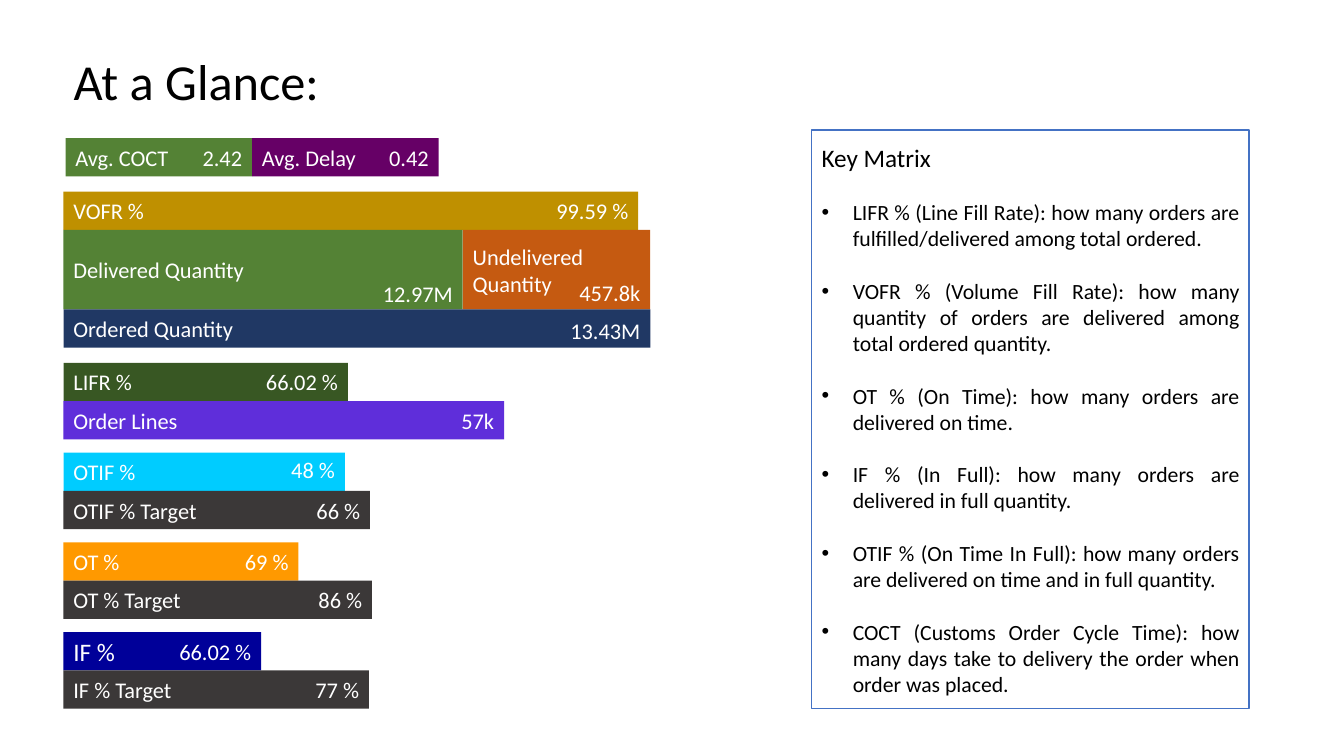
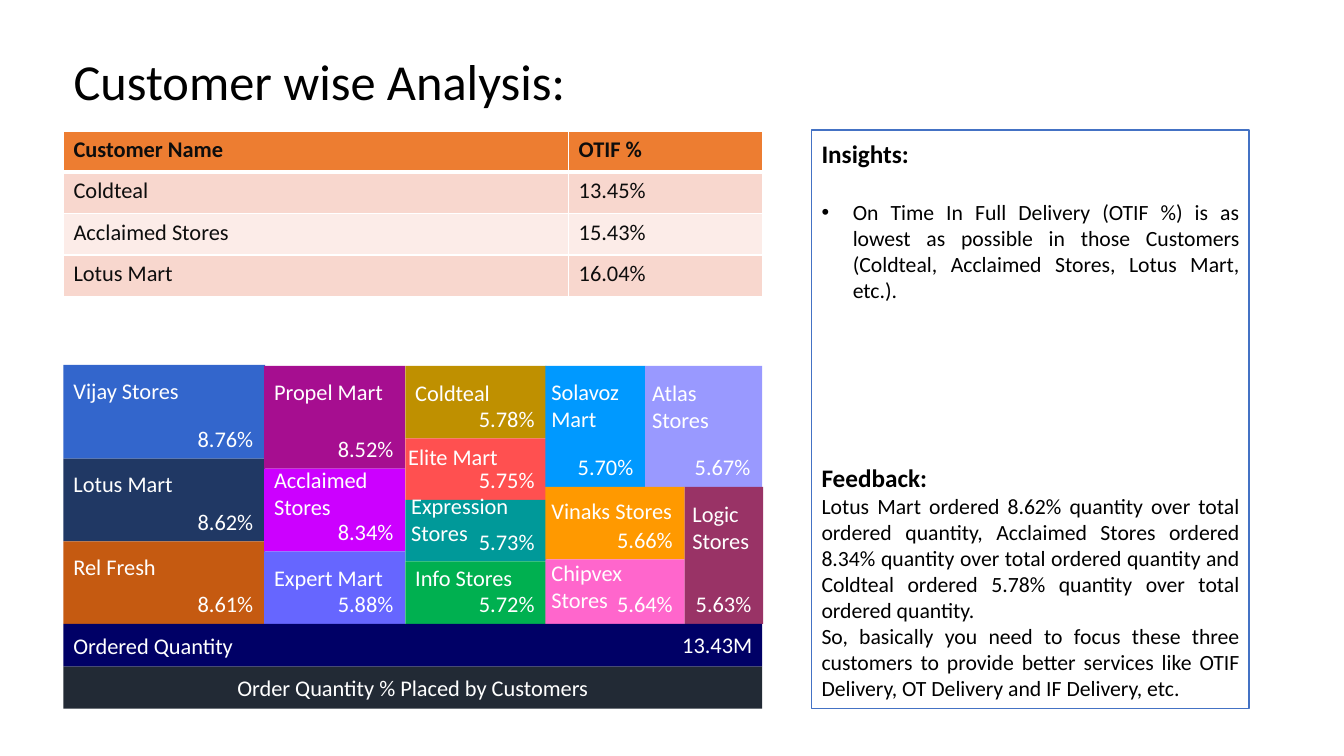
from lxml import etree
from pptx import Presentation
from pptx.dml.color import RGBColor
from pptx.enum.shapes import MSO_SHAPE as Shape
from pptx.enum.text import MSO_ANCHOR as Anchor, MSO_AUTO_SIZE as AutoSize, PP_ALIGN as Align
from pptx.oxml.ns import qn
from pptx.util import Inches, Pt

FONT = "Calibri"
WHITE, BLACK, INK = "FFFFFF", "000000", "0D0D0D"
GREEN, GOLD, NAVY, RUST = "548235", "BF9000", "203864", "C55A11"
TARGET = "3B3838"
LEFT = 0.63
BAR = 0.38
SMALL, BODY, HEADING, TITLE = 16, 15.5, 18, 36


def color(code):
    return RGBColor.from_string(code)


def area(left, top, width, height):
    return [Inches(value) for value in (left, top, width, height)]


def write(para, text, size=SMALL, ink=WHITE, bold=False, align=Align.LEFT, before=0, bullet=False):
    para.alignment = align
    para.space_before = Pt(before)
    span = para.add_run()
    span.text = text
    span.font.name = FONT
    span.font.size = Pt(size)
    span.font.bold = bold
    span.font.color.rgb = color(ink)
    if bullet:
        props = para._p.get_or_add_pPr()
        props.set("marL", str(Inches(0.31)))
        props.set("indent", str(-Inches(0.31)))
        etree.SubElement(props, qn("a:buFont"), typeface="Arial")
        etree.SubElement(props, qn("a:buChar"), char="•")


def border(cell, side, width):
    """Draw one white edge; call before the cell's fill is set."""
    line = etree.SubElement(cell._tc.get_or_add_tcPr(), qn(f"a:ln{side}"), w=str(Pt(width)))
    solid = etree.SubElement(line, qn("a:solidFill"))
    etree.SubElement(solid, qn("a:srgbClr"), val=WHITE)


class Report:
    """Holds the deck, its shared style and the current slide."""

    def __init__(self):
        self.deck = Presentation()
        self.deck.slide_width = Inches(13.33)
        self.deck.slide_height = Inches(7.5)

    def page(self, title):
        self.slide = self.deck.slides.add_slide(self.deck.slide_layouts[5])
        box = self.slide.shapes.title
        box.left, box.top, box.width, box.height = area(LEFT, 0.46, 10.23, 0.68)
        frame = box.text_frame
        frame.auto_size = AutoSize.NONE
        frame.vertical_anchor = Anchor.MIDDLE
        write(frame.paragraphs[0], title, size=TITLE, ink=BLACK)

    def block(self, left, top, width, height, fill, text="", line=None, **style):
        box = self.slide.shapes.add_shape(Shape.RECTANGLE, *area(left, top, width, height))
        box.shadow.inherit = False
        box.fill.solid()
        box.fill.fore_color.rgb = color(fill)
        if line:
            box.line.color.rgb = color(line)
            box.line.width = Pt(1)
        else:
            box.line.fill.background()
        box.text_frame.word_wrap = True
        box.text_frame.vertical_anchor = Anchor.MIDDLE
        if text:
            write(box.text_frame.paragraphs[0], text, **style)
        return box

    def label(self, left, top, width, height, text, **style):
        frame = self.slide.shapes.add_textbox(*area(left, top, width, height)).text_frame
        frame.word_wrap = True
        frame.vertical_anchor = Anchor.MIDDLE
        write(frame.paragraphs[0], text, **style)

    def value(self, right, bottom, text):
        self.label(right - 1.1, bottom - BAR, 1.1, BAR, text, align=Align.RIGHT)

    def bar(self, top, width, fill, text, value, left=LEFT, height=BAR, shift=0, size=SMALL):
        self.block(left, top, width, height, fill, text, size=size)
        self.value(left + width, top + height + shift, value)

    def tile(self, left, top, width, height, fill, name, value, indent, middle):
        """Draw a treemap tile; indent and middle place the name in it."""
        self.block(left, top, width, height, fill)
        self.label(left + indent, top + middle - 0.32, width - indent, 0.64, name)
        self.value(left + width - 0.02, top + height - 0.01, value)

    def panel(self, entries):
        frame = self.block(8.05, 1.29, 4.34, 5.74, WHITE, line="4472C4").text_frame
        for index, (text, style) in enumerate(entries):
            para = frame.add_paragraph() if index else frame.paragraphs[0]
            write(para, text, ink=BLACK, **style)

    def table(self, rows, widths, row_height, left, top):
        frame = self.slide.shapes.add_table(
            len(rows), len(widths), *area(left, top, sum(widths), row_height * len(rows)))
        grid = frame.table
        for column, width in zip(grid.columns, widths):
            column.width = Inches(width)
        for row, texts in enumerate(rows):
            fill = "ED7D31" if row == 0 else ("FCECE8", "F8D7CE")[row % 2]
            for column, text in enumerate(texts):
                cell = grid.cell(row, column)
                for side in "LRTB":
                    edge = (row, side) in ((0, "B"), (1, "T"))
                    border(cell, side, 3 if edge else 1)
                cell.fill.solid()
                cell.fill.fore_color.rgb = color(fill)
                write(cell.text_frame.paragraphs[0], text, ink=INK, bold=row == 0)


HEAD = dict(size=HEADING)
BOLD_HEAD = dict(size=HEADING, bold=True)
PLAIN = dict(size=BODY, align=Align.JUSTIFY)
POINT = dict(PLAIN, bullet=True, before=19)

DEFINITIONS = [
    "LIFR % (Line Fill Rate): how many orders are fulfilled/delivered among total ordered.",
    "VOFR % (Volume Fill Rate): how many quantity of orders are delivered among total "
    "ordered quantity.",
    "OT % (On Time): how many orders are delivered on time.",
    "IF % (In Full): how many orders are delivered in full quantity.",
    "OTIF % (On Time In Full): how many orders are delivered on time and in full quantity.",
    "COCT (Customs Order Cycle Time): how many days take to delivery the order when order "
    "was placed.",
]

# Each pair: upper and lower bar as width, fill, text, value, options
BAR_PAIRS = [
    ((2.82, "385723", "LIFR %", "66.02 %", {}), (4.37, "5F2EDA", "Order Lines", "57k", {})),
    ((2.79, "00CCFF", "OTIF %", "48 %", dict(shift=-0.02)),
     (3.04, TARGET, "OTIF % Target", "66 %", {})),
    ((2.33, "FF9900", "OT %", "69 %", {}), (3.06, TARGET, "OT % Target", "86 %", {})),
    ((1.96, "000099", "IF %", "66.02 %", dict(size=HEADING)),
     (3.03, TARGET, "IF % Target", "77 %", {})),
]

# Each stack: left, top, width, then tiles as height, fill, name, value, indent, middle
TILE_STACKS = [
    (LEFT, 3.62, 2, [
        (0.93, "3366CC", "Vijay Stores", "8.76%", 0, 0.25),
        (0.82, NAVY, "Lotus Mart", "8.62%", 0, 0.25),
        (0.82, RUST, "Rel Fresh", "8.61%", 0, 0.25)]),
    (2.62, 3.63, 1.4, [
        (1.02, "A60E90", "Propel Mart", "8.52%", 0, 0.25),
        (0.82, "CC00FF", "Acclaimed Stores", "8.34%", 0, 0.24),
        (0.72, "6666FF", "Expert Mart", "5.88%", 0, 0.26)]),
    (4.02, 3.63, 1.4, [
        (0.72, GOLD, "Coldteal", "5.78%", 0, 0.26),
        (0.61, "FF5050", "Elite Mart", "5.75%", -0.07, 0.18),
        (0.61, "009999", "Expression Stores", "5.73%", -0.04, 0.19),
        (0.62, "00B050", "Info Stores", "5.72%", 0, 0.16)]),
    (5.41, 3.63, 0.99, [(1.2, "0099FF", "Solavoz Mart", "5.70%", -0.04, 0.39)]),
    (6.4, 3.63, 1.16, [(1.2, "9999FF", "Atlas Stores", "5.67%", -0.03, 0.4)]),
    (5.41, 4.83, 1.38, [
        (0.72, "FF9900", "Vinaks Stores", "5.66%", -0.04, 0.23),
        (0.64, "FF66CC", "Chipvex Stores", "5.64%", -0.04, 0.26)]),
    (6.79, 4.83, 0.78, [(1.36, "993366", "Logic Stores", "5.63%", -0.02, 0.4)]),
]


def glance_page(report):
    report.page("At a Glance:")
    report.bar(1.37, 1.85, GREEN, "Avg. COCT", "2.42", left=0.65)
    report.bar(1.37, 1.85, "660066", "Avg. Delay", "0.42", left=2.5)
    report.bar(1.9, 5.7, GOLD, "VOFR %", "99.59 %")
    report.bar(2.28, 3.96, GREEN, "Delivered Quantity", "12.97M", height=0.79, shift=0.03)
    report.bar(2.28, 1.86, RUST, "Undelivered Quantity", "457.8k",
               left=4.59, height=0.79, shift=0.02)
    report.bar(3.07, 5.82, NAVY, "Ordered Quantity", "13.43M", shift=0.02)
    for index, pair in enumerate(BAR_PAIRS):
        for row, (*details, options) in enumerate(pair):
            report.bar(3.6 + 0.89 * index + BAR * row, *details, **options)
    report.panel([("Key Matrix", HEAD)] + [(text, POINT) for text in DEFINITIONS])


def customer_page(report):
    report.page("Customer wise Analysis:")
    report.panel([
        ("Insights:", BOLD_HEAD),
        ("On Time In Full Delivery (OTIF %) is as lowest as possible in those Customers "
         "(Coldteal, Acclaimed Stores, Lotus Mart, etc.).", dict(POINT, before=22)),
        ("Feedback:", dict(BOLD_HEAD, before=113.5)),
        ("Lotus Mart ordered 8.62% quantity over total ordered quantity, Acclaimed Stores "
         "ordered 8.34% quantity over total ordered quantity and Coldteal ordered 5.78% "
         "quantity over total ordered quantity.", PLAIN),
        ("So, basically you need to focus these three customers to provide better services "
         "like OTIF Delivery, OT Delivery and IF Delivery, etc.", PLAIN),
    ])
    for left, top, width, tiles in TILE_STACKS:
        for height, *details in tiles:
            report.tile(left, top, width, height, *details)
            top += height
    report.block(LEFT, 6.61, 6.93, 0.42, "222A35", "Order Quantity % Placed by Customers",
                 align=Align.CENTER)
    report.bar(6.19, 6.93, "000066", "Ordered Quantity", "13.43M", height=0.42, shift=-0.03)
    report.table([
        ("Customer Name", "OTIF %"),
        ("Coldteal", "13.45%"),
        ("Acclaimed Stores", "15.43%"),
        ("Lotus Mart", "16.04%"),
    ], (5.01, 1.92), 0.41, LEFT, 1.3)


def main():
    report = Report()
    glance_page(report)
    customer_page(report)
    report.deck.save("out.pptx")


if __name__ == "__main__":
    main()
